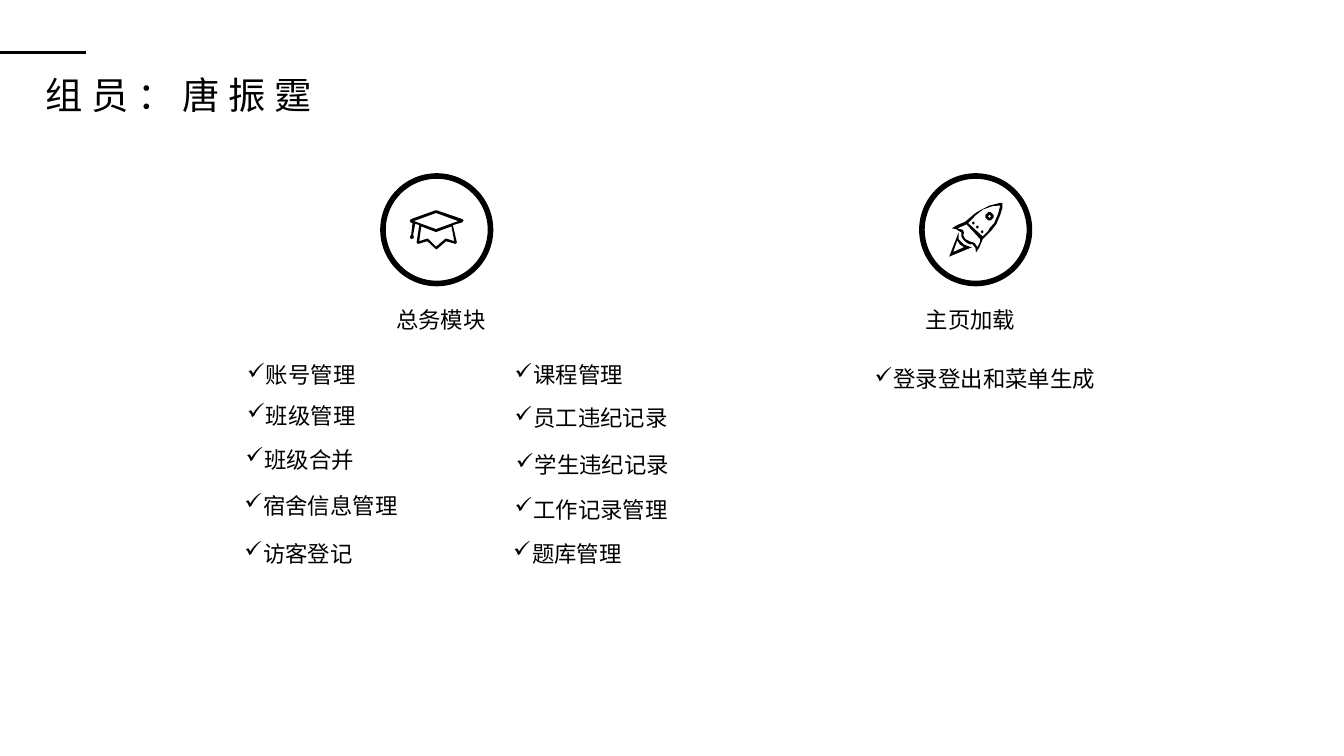
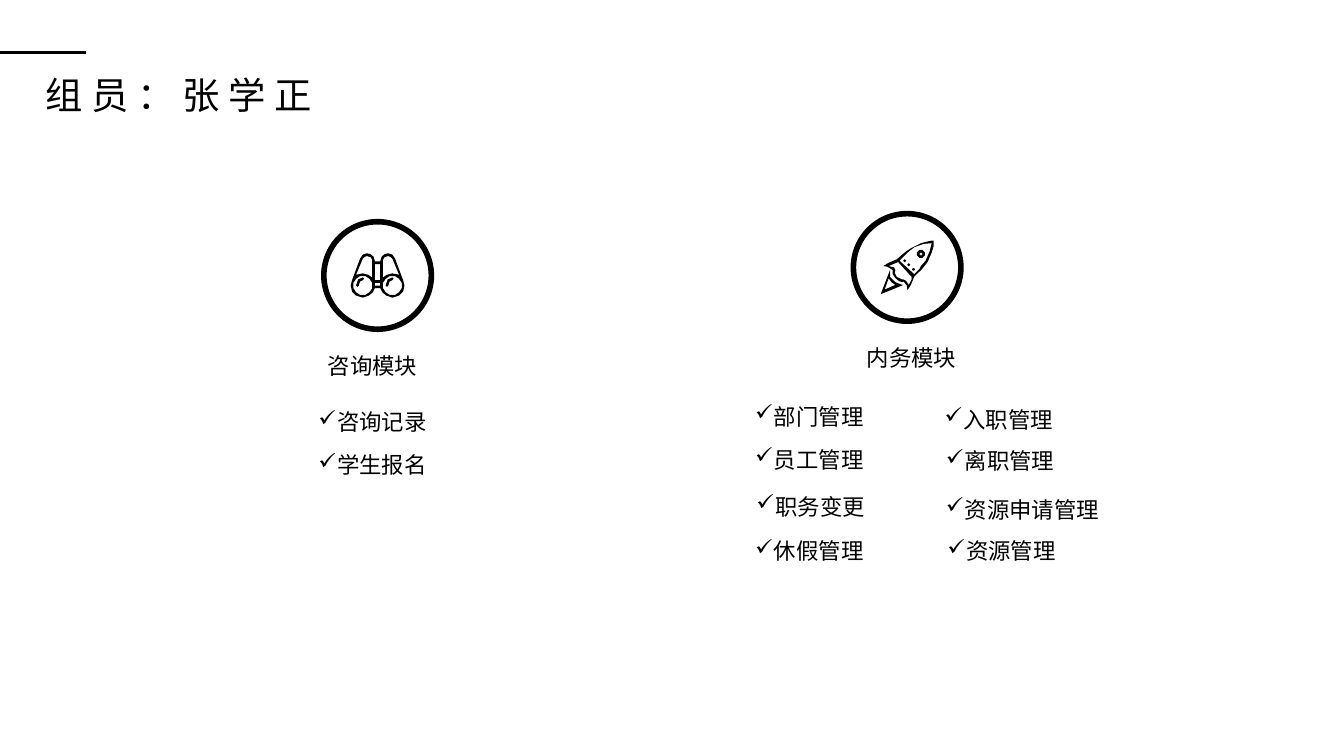
import math

import pptx
import pptx.dml.color
import pptx.enum.shapes
import pptx.enum.text
import pptx.oxml
import pptx.oxml.ns
import pptx.util

PX = 4572
INK = "000000"
TITLE = {"size": pptx.util.Pt(20), "name": "Arial"}
BODY = {"size": pptx.util.Pt(12), "name": "Montserrat"}
RING = 160
ITEM_W, ITEM_H = 376, 90


def px(n):
    """Turn px into EMU."""
    return pptx.util.Emu(round(n * PX))


def rgb(value):
    """Turn a hex string into a colour."""
    return pptx.dml.color.RGBColor.from_string(value)


def circle(cx, cy, radius, steps=24):
    """Return the points of a circle."""
    turns = [2 * math.pi * i / steps for i in range(steps)]
    return [(cx + radius * math.cos(a), cy + radius * math.sin(a)) for a in turns]


def mirror(points, width=80):
    """Flip points left to right."""
    return [(width - x, y) for x, y in reversed(points)]


def shift(points, dx):
    """Move points sideways."""
    return [(x + dx, y) for x, y in points]


CAP = [
    [(80, 15), (78, 13), (40, 0), (38, 0), (2, 13), (0, 15), (1, 18), (4, 19),
     (2, 36), (0, 40), (2, 43), (6, 41), (5, 36), (8, 20), (14, 22), (10, 48),
     (12, 50), (26, 46), (38, 57), (40, 58), (54, 46), (68, 50), (70, 48),
     (64, 22), (78, 18)],
    [(39, 28), (6, 16), (39, 4), (72, 16)],
    [(66, 46), (54, 42), (52, 43), (39, 54), (28, 43), (26, 42), (14, 46),
     (17, 24), (38, 32), (40, 32), (62, 24)],
]

ROCKET = [
    [(79, 0), (76, 0), (60, 4), (46, 11), (38, 16), (24, 28), (12, 33), (4, 38),
     (10, 39), (18, 44), (18, 50), (22, 56), (27, 60), (32, 62), (34, 61),
     (39, 67), (40, 74), (45, 66), (50, 54), (62, 42), (70, 32), (76, 18), (79, 8)],
    [(60, 38), (58, 42), (50, 50), (28, 30), (36, 22), (40, 18), (50, 10),
     (64, 5), (76, 4), (73, 16), (67, 30)],
    [(46, 54), (46, 58), (42, 66), (38, 60), (34, 58), (32, 58), (24, 54),
     (21, 48), (22, 44), (20, 40), (12, 38), (26, 32)],
    [(14, 44), (0, 80), (34, 66), (32, 66), (22, 62), (14, 54)],
    [(6, 73), (12, 56), (16, 62), (22, 66)],
    circle(60, 20, 6), circle(60, 20, 2),
    circle(36, 30, 2), circle(42, 36, 2), circle(49, 43, 2),
]

HALF = [(44, 12), (46, 5), (51, 1), (56, 0), (62, 2), (66, 8), (78, 40), (80, 48),
        (78, 57), (72, 63), (62, 66), (53, 63), (47, 58), (44, 52)]
BARREL = [(48, 10), (50, 6), (56, 4), (60, 6), (62, 8), (72, 32), (62, 30),
          (54, 32), (48, 36)]
GLINT = [(62, 36), (55, 39), (52, 48), (54, 50), (56, 48), (58, 42), (62, 40), (64, 38)]
LENS = circle(62, 48, 14)
BINOCULARS = [
    HALF + mirror(HALF), BARREL, mirror(BARREL), LENS, mirror(LENS),
    GLINT, shift(GLINT, -44),
    [(44, 40), (36, 40), (36, 16), (44, 16)],
    [(44, 48), (36, 48), (36, 44), (44, 44)],
]


def add_text(s, box, text, font, wrap=False):
    """Add a one-paragraph text box and return its paragraph."""
    tf = s.shapes.add_textbox(*map(px, box)).text_frame
    tf.word_wrap = wrap
    tf.auto_size = pptx.enum.text.MSO_AUTO_SIZE.SHAPE_TO_FIT_TEXT
    p = tf.paragraphs[0]
    r = p.add_run()
    r.text = text
    for key, value in font.items():
        setattr(r.font, key, value)
    r.font.color.rgb = rgb(INK)
    return p


def add_header(s, text):
    """Add the rule at the left edge and the spaced title."""
    line = s.shapes.add_connector(
        pptx.enum.shapes.MSO_CONNECTOR.STRAIGHT, 0, px(78), px(128), px(78))
    line.line.color.rgb = rgb(INK)
    line.line.width = pptx.util.Pt(2)
    line._element.spPr.append(pptx.oxml.parse_xml(
        "<a:effectLst %s/>" % pptx.oxml.ns.nsdecls("a")))
    p = add_text(s, (48, 110, 452, 74), text, TITLE)
    p.line_spacing = 0.8
    p.runs[0]._r.get_or_add_rPr().set("spc", "450")


def add_icon(s, x, y, contours):
    """Draw an icon centred in the ring whose corner is given."""
    points = [point for contour in contours for point in contour]
    width, height = (max(axis) for axis in zip(*points))
    fb = s.shapes.build_freeform(*contours[0][0], scale=PX)
    for i, contour in enumerate(contours):
        if i:
            fb.move_to(*contour[0])
        fb.add_line_segments(contour[1:], close=True)
    sp = fb.convert_to_shape(px(x + (RING - width) / 2), px(y + (RING - height) / 2))
    sp.shadow.inherit = False
    sp.fill.solid()
    sp.fill.fore_color.rgb = rgb(INK)
    sp.line.fill.background()


def add_item(s, x, y, text):
    """Add one ticked line."""
    p = add_text(s, (x, y, ITEM_W, ITEM_H), text, BODY, wrap=True)
    p.line_spacing = 2.0
    pPr = p._p.get_or_add_pPr()
    pPr.set("marL", str(px(28)))
    pPr.set("indent", str(-px(28)))
    pPr.append(pptx.oxml.parse_xml(
        '<a:buChar %s char="✓"/>' % pptx.oxml.ns.nsdecls("a")))


def add_module(s, x, y, icon, label, label_dx, items):
    """Add a ringed icon, its label and its items, relative to the ring."""
    ring = s.shapes.add_shape(
        pptx.enum.shapes.MSO_SHAPE.OVAL, px(x), px(y), px(RING), px(RING))
    ring.shadow.inherit = False
    ring.fill.background()
    ring.line.color.rgb = rgb(INK)
    ring.line.width = pptx.util.Pt(3)
    add_icon(s, x, y, icon)
    add_text(s, (x + label_dx, y + 184, 176, 60), label, BODY)
    for dx, dy, text in items:
        add_item(s, x + dx, y + dy, text)


MEMBERS = [
    ("组员：唐振霆", [
        (570, 262, CAP, "总务模块", 0, [
            (-222, 226, "账号管理"), (-222, 286, "班级管理"), (-224, 352, "班级合并"),
            (-226, 420, "宿舍信息管理"), (-226, 492, "访客登记"),
            (176, 226, "课程管理"), (176, 290, "员工违纪记录"), (178, 360, "学生违纪记录"),
            (176, 426, "工作记录管理"), (174, 492, "题库管理")]),
        (1372, 262, ROCKET, "主页加载", -14, [(-90, 232, "登录登出和菜单生成")]),
    ]),
    ("组员：张学正", [
        (482, 330, BINOCULARS, "咨询模块", -14, [
            (-28, 228, "咨询记录"), (-28, 292, "学生报名")]),
        (1270, 318, ROCKET, "内务模块", 0, [
            (-166, 232, "部门管理"), (-166, 296, "员工管理"), (-164, 366, "职务变更"),
            (-166, 432, "休假管理"),
            (116, 236, "入职管理"), (118, 298, "离职管理"), (118, 370, "资源申请管理"),
            (120, 432, "资源管理")]),
    ]),
]


def main():
    """Build one slide for each member."""
    prs = pptx.Presentation()
    prs.slide_width, prs.slide_height = px(2000), px(1125)
    for title, modules in MEMBERS:
        s = prs.slides.add_slide(prs.slide_layouts[6])
        add_header(s, title)
        for module in modules:
            add_module(s, *module)
    prs.save("out.pptx")


if __name__ == "__main__":
    main()
